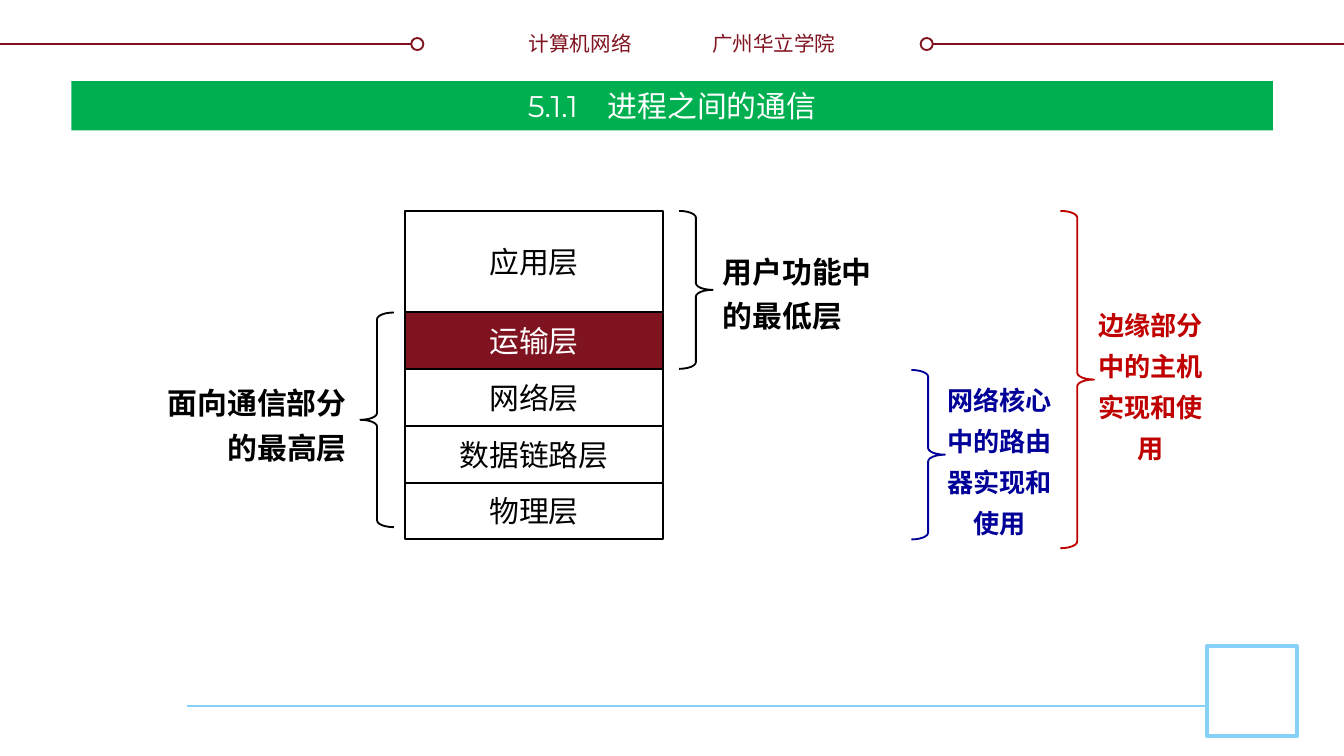
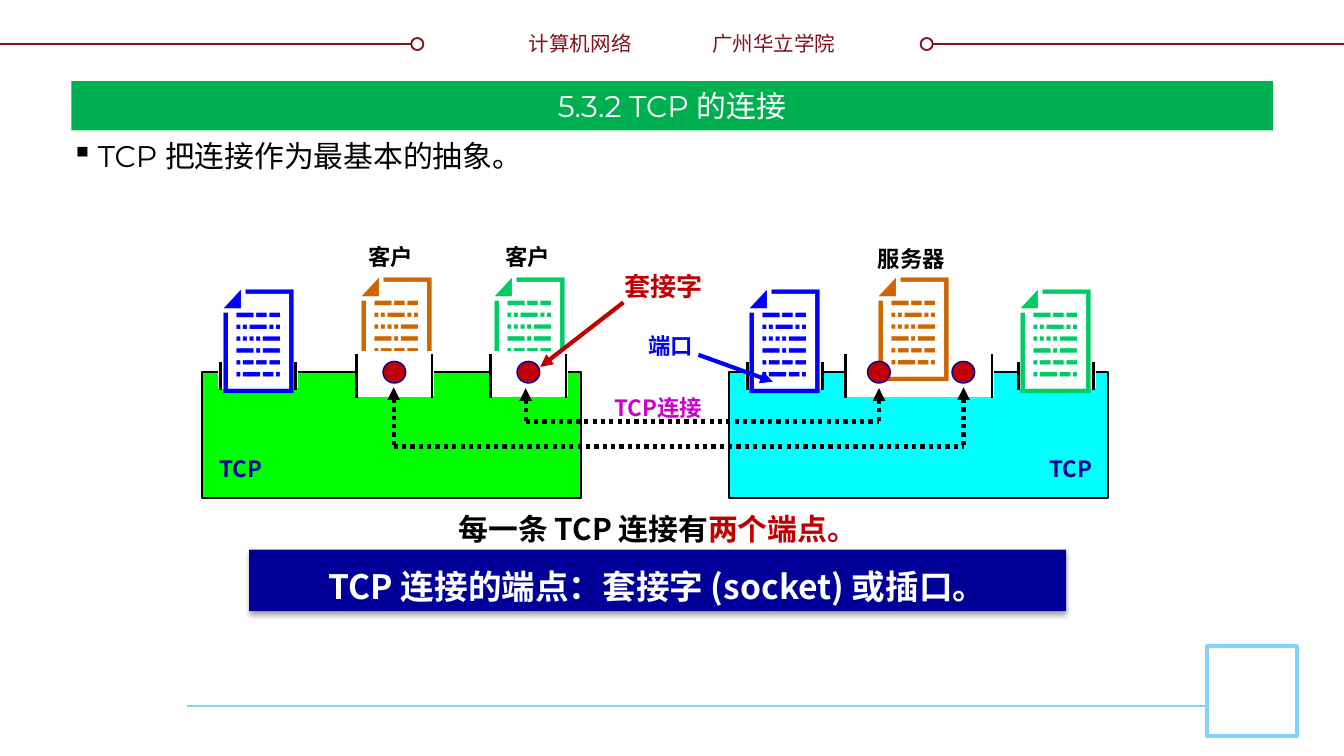
from dataclasses import dataclass
from typing import NamedTuple

from lxml import etree
from pptx import Presentation
from pptx.dml.color import RGBColor
from pptx.enum.dml import MSO_LINE
from pptx.enum.shapes import MSO_CONNECTOR, MSO_SHAPE
from pptx.enum.text import MSO_ANCHOR, MSO_AUTO_SIZE, PP_ALIGN
from pptx.oxml.ns import qn
from pptx.util import Pt

RECT, OVAL, BRACE = MSO_SHAPE.RECTANGLE, MSO_SHAPE.OVAL, MSO_SHAPE.RIGHT_BRACE
STRAIGHT = MSO_CONNECTOR.STRAIGHT
DOTTED = MSO_LINE.ROUND_DOT
LEFT, CENTER, RIGHT, JUSTIFY = PP_ALIGN.LEFT, PP_ALIGN.CENTER, PP_ALIGN.RIGHT, PP_ALIGN.JUSTIFY
TOP, MIDDLE = MSO_ANCHOR.TOP, MSO_ANCHOR.MIDDLE
GROW = MSO_AUTO_SIZE.SHAPE_TO_FIT_TEXT

BLACK = RGBColor(0x00, 0x00, 0x00)
WHITE = RGBColor(0xFF, 0xFF, 0xFF)
MAROON = RGBColor(0x7F, 0x13, 0x1F)
SKY = RGBColor(0x85, 0xD1, 0xF7)
TITLE_GREEN = RGBColor(0x00, 0xB0, 0x50)
NAVY = RGBColor(0x00, 0x00, 0x99)
RED = RGBColor(0xC0, 0x00, 0x00)
LIME = RGBColor(0x00, 0xFF, 0x00)
CYAN = RGBColor(0x00, 0xFF, 0xFF)
BLUE = RGBColor(0x00, 0x00, 0xFF)
GREEN = RGBColor(0x00, 0xCC, 0x66)
ORANGE = RGBColor(0xCC, 0x66, 0x00)
MAGENTA = RGBColor(0xCC, 0x00, 0xCC)

CJK = "Noto Sans CJK SC"
LATIN = "Montserrat"


class Box(NamedTuple):
    x: float
    y: float
    w: float
    h: float


class Span(NamedTuple):
    text: str
    color: RGBColor


@dataclass(frozen=True)
class Style:
    size: float
    bold: bool = False
    align: PP_ALIGN = LEFT
    spacing: float | None = None
    font: str = CJK


class Layer(NamedTuple):
    name: str
    height: float
    fill: RGBColor | None = None
    color: RGBColor = BLACK


class Bracket(NamedTuple):
    brace: Box
    label: Box
    paragraphs: list[str]
    color: RGBColor
    line_color: RGBColor
    style: Style
    flipped: bool = False


class Label(NamedTuple):
    text: str
    box: Box
    color: RGBColor
    size: float = 12
    align: PP_ALIGN = CENTER
    wrap: bool = False


class Sleeve(NamedTuple):
    x: float
    y: float
    w: float
    h: float


class Link(NamedTuple):
    client_x: float
    server_x: float
    top: float
    bottom: float


def write(sp, paragraphs: list[list[Span]], style: Style, anchor=TOP, wrap: bool = True) -> None:
    tf = sp.text_frame
    tf.word_wrap = wrap
    tf.vertical_anchor = anchor
    for i, spans in enumerate(paragraphs):
        p = tf.paragraphs[0] if i == 0 else tf.add_paragraph()
        p.alignment = style.align
        if style.spacing:
            p.line_spacing = Pt(style.spacing)
        for span in spans:
            r = p.add_run()
            r.text = span.text
            r.font.size = Pt(style.size)
            r.font.bold = style.bold
            r.font.color.rgb = span.color
            r.font.name = style.font
            ea = etree.SubElement(r._r.get_or_add_rPr(), qn("a:ea"))
            ea.set("typeface", CJK)


def add_text(s, box: Box, paragraphs: list[list[Span]], style: Style, wrap: bool = True):
    sp = s.shapes.add_textbox(*map(Pt, box))
    write(sp, paragraphs, style, wrap=wrap)
    sp.text_frame.auto_size = GROW
    return sp


def add_shape(s, kind, box: Box, fill: RGBColor | None = None,
              line: RGBColor | None = None, width: float = 1):
    sp = s.shapes.add_shape(kind, *map(Pt, box))
    sp.shadow.inherit = False
    if fill is None:
        sp.fill.background()
    else:
        sp.fill.solid()
        sp.fill.fore_color.rgb = fill
    if line is None:
        sp.line.fill.background()
    else:
        sp.line.color.rgb = line
        sp.line.width = Pt(width)
    return sp


def add_line(s, x1: float, y1: float, x2: float, y2: float, color: RGBColor,
             width: float, dash=None, arrow: str | None = None) -> None:
    c = s.shapes.add_connector(STRAIGHT, Pt(x1), Pt(y1), Pt(x2), Pt(y2))
    c.line.color.rgb = color
    c.line.width = Pt(width)
    if dash:
        c.line.dash_style = dash
    if arrow:
        end = etree.SubElement(c.line._get_or_add_ln(), qn(f"a:{arrow}"))
        end.set("type", "triangle")
    etree.SubElement(c._element.spPr, qn("a:effectLst"))


def add_frame(prs, title: str):
    s = prs.slides.add_slide(prs.slide_layouts[6])
    header = 23.6
    for x1, x2, dot_x in ((0, 226.8, 220.3), (493.2, 720, 493.2)):
        add_line(s, x1, header, x2, header, MAROON, 1)
        add_shape(s, OVAL, Box(dot_x, header - 3.25, 6.5, 6.5), WHITE, MAROON)
    add_text(s, Box(374.4, 13, 83.5, 20.9), [[Span("广州华立学院", MAROON)]], Style(11))
    add_text(s, Box(275.8, 13, 69.8, 20.9), [[Span("计算机网络", MAROON)]],
             Style(11, align=RIGHT), wrap=False)
    add_line(s, 100, 378.2, 646.6, 378.2, SKY, 1.5)
    add_shape(s, RECT, Box(646.6, 346.3, 48.2, 48.2), WHITE, SKY, 2)
    sp = add_shape(s, RECT, Box(38.2, 43.4, 643.7, 26.5), TITLE_GREEN)
    write(sp, [[Span(title, WHITE)]], Style(16, align=CENTER, font=LATIN), MIDDLE)
    return s


def add_bracket(s, bracket: Bracket) -> None:
    sp = add_shape(s, BRACE, bracket.brace, line=bracket.line_color)
    sp.adjustments[0] = 0.2
    sp.adjustments[1] = 0.5
    if bracket.flipped:
        sp._element.spPr.get_or_add_xfrm().set("flipH", "1")
    paragraphs = [[Span(text, bracket.color)] for text in bracket.paragraphs]
    add_text(s, bracket.label, paragraphs, bracket.style)


def add_document(s, x: float, y: float, color: RGBColor) -> None:
    add_text(s, Box(x, y, 72.7, 79.9), [[Span("📄", color)]], Style(60, True))


def add_sleeve(s, sleeve: Sleeve) -> None:
    x, y, w, h = sleeve
    add_shape(s, RECT, Box(x, y, w, h), WHITE, WHITE, 2)
    for side in (x, x + w):
        add_line(s, side, y + h + 1.5, side, y + 0.7, BLACK, 1.5)


def add_link(s, link: Link) -> None:
    add_line(s, link.client_x, link.bottom, link.server_x, link.bottom, BLACK, 2.25, DOTTED)
    for x in (link.client_x, link.server_x):
        add_line(s, x, link.top, x, link.bottom, BLACK, 2.25, DOTTED, "headEnd")


def add_label(s, label: Label) -> None:
    add_text(s, label.box, [[Span(label.text, label.color)]],
             Style(label.size, True, label.align), label.wrap)


def build_layers(prs) -> None:
    s = add_frame(prs, "5.1.1　进程之间的通信")
    layers = [
        Layer("应用层", 54.4),
        Layer("运输层", 30.4, MAROON, WHITE),
        Layer("网络层", 30.4),
        Layer("数据链路层", 30.4),
        Layer("物理层", 30.4),
    ]
    y = 113
    for layer in layers:
        sp = add_shape(s, RECT, Box(216.9, y, 138.4, layer.height), layer.fill, BLACK)
        write(sp, [[Span(layer.name, layer.color)]], Style(16, align=CENTER), MIDDLE)
        y += layer.height

    narrow = Style(14, True, CENTER, 22)
    brackets = [
        Bracket(Box(363.8, 113, 18, 84.6), Box(380.2, 127.4, 108, 55.4),
                ["用户功能中的最低层"], BLACK, BLACK, Style(16, True, LEFT, 24)),
        Bracket(Box(193, 167.4, 18, 115), Box(80.5, 198, 112.3, 55.4),
                ["面向通信部分的最高层"], BLACK, BLACK, Style(16, True, RIGHT, 24), True),
        Bracket(Box(488.2, 198.2, 18, 90.8), Box(498.2, 197.3, 74.9, 96.5),
                ["网络核心中的路由器实现和使用"], NAVY, NAVY, narrow),
        Bracket(Box(568.1, 113, 18, 180.7), Box(579, 157, 74.9, 96.5),
                ["边缘部分中的主机", "实现和使用"], RED, RED, narrow),
    ]
    for bracket in brackets:
        add_bracket(s, bracket)


def build_connection(prs) -> None:
    s = add_frame(prs, "5.3.2 TCP 的连接")

    sp = s.shapes.add_textbox(Pt(38.2), Pt(70.6), Pt(643.7), Pt(291.6))
    tf = sp.text_frame
    tf.margin_left = tf.margin_right = 0
    tf.margin_top = tf.margin_bottom = Pt(2.9)
    p = tf.paragraphs[0]
    pPr = p._p.get_or_add_pPr()
    pPr.set("marL", str(Pt(14.2)))
    pPr.set("indent", str(-Pt(14.2)))
    etree.SubElement(pPr, qn("a:buChar")).set("char", "▪")
    p.space_after = Pt(6)
    write(sp, [[Span("TCP 把连接作为最基本的抽象。", BLACK)]],
          Style(16, align=JUSTIFY, font=LATIN))

    high, low = 130.3, 136.8
    add_shape(s, RECT, Box(108.2, 199.4, 203, 67.4), LIME, BLACK)
    add_document(s, 255.6, high, GREEN)
    add_document(s, 184.3, high, ORANGE)
    add_sleeve(s, Sleeve(118, 193, 40.4, 14.4))
    add_document(s, 110.6, low, BLUE)
    for x in (191.1, 262.8):
        add_sleeve(s, Sleeve(x, 188.8, 40.4, 23))

    add_shape(s, RECT, Box(390.6, 199.4, 203, 67.4), CYAN, BLACK)
    for sleeve in (Sleeve(400.3, 193, 40.4, 14.4), Sleeve(453, 188.8, 78.4, 23),
                   Sleeve(545.6, 193, 40.4, 14.4)):
        add_sleeve(s, sleeve)
    add_line(s, 374.2, 190.1, 414, 204.5, BLUE, 2.25, arrow="tailEnd")
    add_document(s, 537.5, low, GREEN)
    add_document(s, 461.5, high, ORANGE)
    add_document(s, 392.2, low, BLUE)

    add_link(s, Link(210.9, 516.2, 207.5, 239.2))
    add_link(s, Link(281.6, 470.9, 208, 225.8))
    for x in (205.2, 277, 464.8, 510):
        add_shape(s, OVAL, Box(x, 193.6, 12.2, 11.6), RED, NAVY, 0.75)

    labels = [
        Label("客户", Box(190, 126.5, 38.9, 21.8), BLACK),
        Label("客户", Box(263.3, 126.5, 38.9, 21.8), BLACK),
        Label("服务器", Box(463, 127.7, 50.4, 21.8), BLACK),
        Label("端口", Box(339.8, 174.4, 38.9, 21.8), BLUE),
        Label("TCP", Box(110.2, 240.5, 37.4, 21.8), NAVY),
        Label("TCP", Box(555.1, 240.5, 37.4, 21.8), NAVY, align=LEFT),
        Label("TCP连接", Box(321.8, 207.4, 61.9, 21.8), MAGENTA, wrap=True),
        Label("套接字", Box(326.9, 141.1, 56.9, 23.8), RED, 14),
    ]
    for label in labels:
        add_label(s, label)
    add_line(s, 334, 162, 289.4, 196.6, RED, 2.25, arrow="tailEnd")

    add_text(s, Box(236.2, 263.5, 232.6, 33.8),
             [[Span("每一条 TCP 连接有", BLACK), Span("两个端点。", RED)]],
             Style(16, True, CENTER, 26), wrap=False)
    sp = add_shape(s, RECT, Box(133.4, 294.5, 437.8, 33), NAVY)
    shadow = etree.SubElement(sp._element.spPr.find(qn("a:effectLst")), qn("a:outerShdw"),
                              blurRad=str(Pt(3.1)), dist=str(Pt(1.8)), dir="5400000",
                              rotWithShape="0")
    tint = etree.SubElement(shadow, qn("a:srgbClr"), val=str(BLACK))
    etree.SubElement(tint, qn("a:alpha"), val="35000")
    write(sp, [[Span("TCP 连接的端点：套接字 (socket) 或插口。", WHITE)]],
          Style(18, True, CENTER, 28), MIDDLE)


def main() -> None:
    prs = Presentation()
    prs.slide_width, prs.slide_height = Pt(720), Pt(405)
    build_layers(prs)
    build_connection(prs)
    prs.save("out.pptx")


if __name__ == "__main__":
    main()
